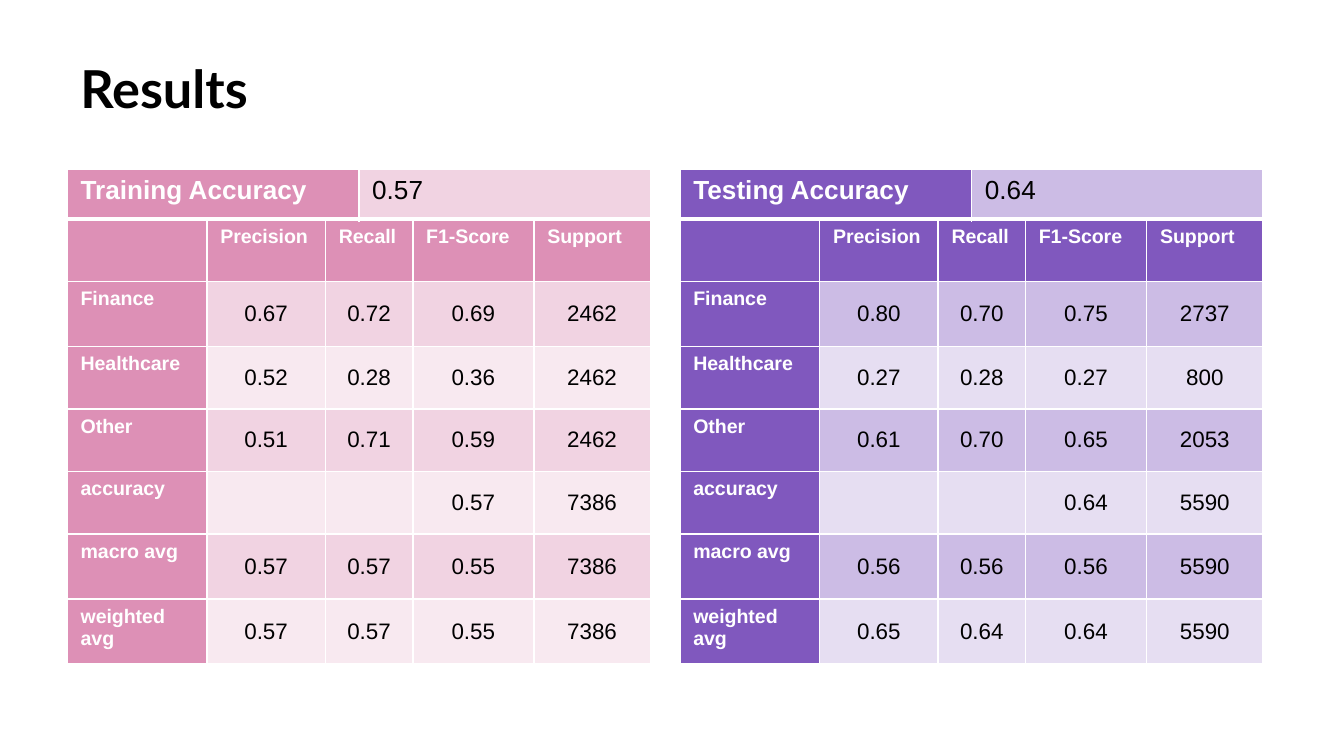
from lxml.etree import SubElement
from pptx import Presentation
from pptx.dml.color import RGBColor
from pptx.enum.text import MSO_ANCHOR, PP_ALIGN
from pptx.oxml.ns import qn
from pptx.util import Cm, Pt

TITLE = "Results"
METRICS = ["", "Precision", "Recall", "F1-Score", "Support"]
REPORTS = [
    {
        "label": "Training Accuracy",
        "accuracy": "0.57",
        "palette": "pink",
        "rows": [
            ["Finance", "0.67", "0.72", "0.69", "2462"],
            ["Healthcare", "0.52", "0.28", "0.36", "2462"],
            ["Other", "0.51", "0.71", "0.59", "2462"],
            ["accuracy", "", "", "0.57", "7386"],
            ["macro avg", "0.57", "0.57", "0.55", "7386"],
            ["weighted avg", "0.57", "0.57", "0.55", "7386"],
        ],
    },
    {
        "label": "Testing Accuracy",
        "accuracy": "0.64",
        "palette": "purple",
        "rows": [
            ["Finance", "0.80", "0.70", "0.75", "2737"],
            ["Healthcare", "0.27", "0.28", "0.27", "800"],
            ["Other", "0.61", "0.70", "0.65", "2053"],
            ["accuracy", "", "", "0.64", "5590"],
            ["macro avg", "0.56", "0.56", "0.56", "5590"],
            ["weighted avg", "0.65", "0.64", "0.64", "5590"],
        ],
    },
]

THEME = {
    "pink": {"head": "DD90B6", "bands": ["F1D3E2", "F8E9F0"]},
    "purple": {"head": "8058BE", "bands": ["CCBCE5", "E6DEF2"]},
    "white": "FFFFFF",
    "black": "000000",
    "title_font": "Lato",
    "body_font": "Arial",
    "title_size": 28,
    "accuracy_size": 14,
    "head_size": 10.5,
    "value_size": 12,
}

LEFT, PITCH = 1.27, 11.58
ACCURACY_TOP, REPORT_TOP = 3.2, 4.14
ACCURACY_COLS, ACCURACY_ROWS = [5.51, 5.51], [0.94]
REPORT_COLS = [2.64, 2.24, 1.65, 2.29, 2.2]
REPORT_ROWS = [1.18, 1.23, 1.18, 1.18, 1.18, 1.23, 1.23]


def add_run(p, text, size, color, bold, font=THEME["body_font"]):
    r = p.add_run()
    r.text = text
    r.font.name = font
    r.font.size = Pt(size)
    r.font.bold = bold
    r.font.color.rgb = RGBColor.from_string(color)


def set_borders(cell, bottom):
    tc_pr = cell._tc.get_or_add_tcPr()
    for side, width in (("L", 1), ("R", 1), ("T", 1), ("B", bottom)):
        ln = SubElement(tc_pr, qn(f"a:ln{side}"), w=str(Pt(width)))
        fill = SubElement(ln, qn("a:solidFill"))
        SubElement(fill, qn("a:srgbClr"), val=THEME["white"])


def style_cell(cell, text, fill, size, is_head, centered=False, bottom=1):
    set_borders(cell, bottom)
    cell.fill.solid()
    cell.fill.fore_color.rgb = RGBColor.from_string(fill)
    if not text:
        return
    p = cell.text_frame.paragraphs[0]
    if centered:
        cell.vertical_anchor = MSO_ANCHOR.MIDDLE
        p.alignment = PP_ALIGN.CENTER
    add_run(p, text, size, THEME["white" if is_head else "black"], is_head)


def add_grid(s, left, top, cols, rows):
    shape = s.shapes.add_table(len(rows), len(cols), Cm(left), Cm(top),
                               Cm(sum(cols)), Cm(sum(rows)))
    table = shape.table
    table.first_row = False
    table.horz_banding = False
    for col, width in zip(table.columns, cols):
        col.width = Cm(width)
    for row, height in zip(table.rows, rows):
        row.height = Cm(height)
    return table


def add_report(s, report, left):
    palette = THEME[report["palette"]]
    table = add_grid(s, left, REPORT_TOP, REPORT_COLS, REPORT_ROWS)
    for i, row in enumerate([METRICS] + report["rows"]):
        for j, text in enumerate(row):
            is_head = i == 0 or j == 0
            fill = palette["head"] if is_head else palette["bands"][(i - 1) % 2]
            size = THEME["head_size" if is_head else "value_size"]
            style_cell(table.cell(i, j), text, fill, size, is_head, not is_head)

    table = add_grid(s, left, ACCURACY_TOP, ACCURACY_COLS, ACCURACY_ROWS)
    size = THEME["accuracy_size"]
    style_cell(table.cell(0, 0), report["label"], palette["head"], size, True, bottom=3)
    style_cell(table.cell(0, 1), report["accuracy"], palette["bands"][0], size, False, bottom=3)


def add_title(s):
    tf = s.shapes.add_textbox(Cm(1.27), Cm(0.81), Cm(22.86), Cm(1.6)).text_frame
    tf.word_wrap = True
    tf.margin_left = tf.margin_right = tf.margin_top = tf.margin_bottom = Cm(0.25)
    add_run(tf.paragraphs[0], TITLE, THEME["title_size"], THEME["black"], True,
            THEME["title_font"])


def main():
    prs = Presentation()
    prs.slide_width, prs.slide_height = Cm(25.4), Cm(14.29)
    s = prs.slides.add_slide(prs.slide_layouts[6])
    add_title(s)
    for i, report in enumerate(REPORTS):
        add_report(s, report, LEFT + i * PITCH)
    prs.save("out.pptx")


if __name__ == "__main__":
    main()
